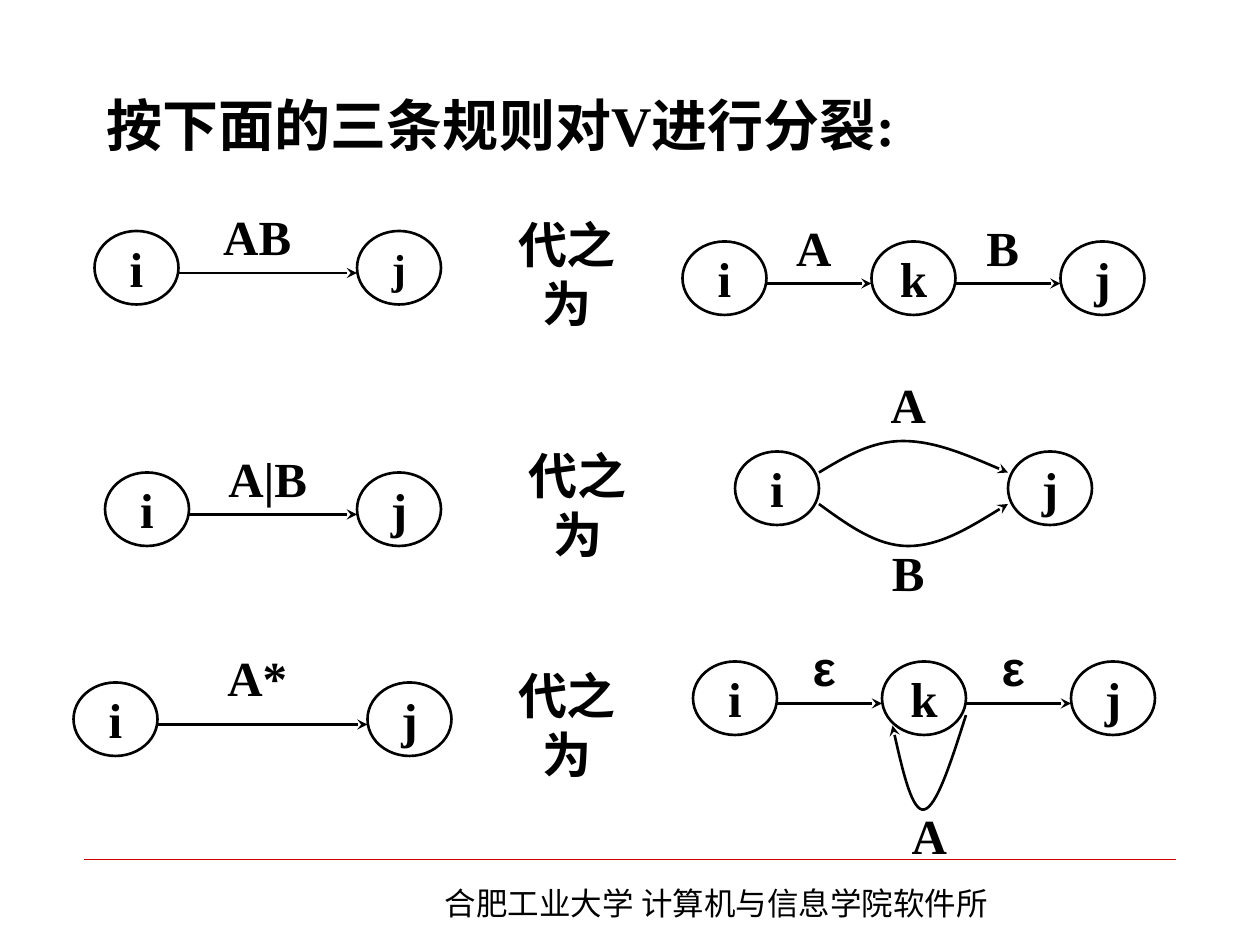
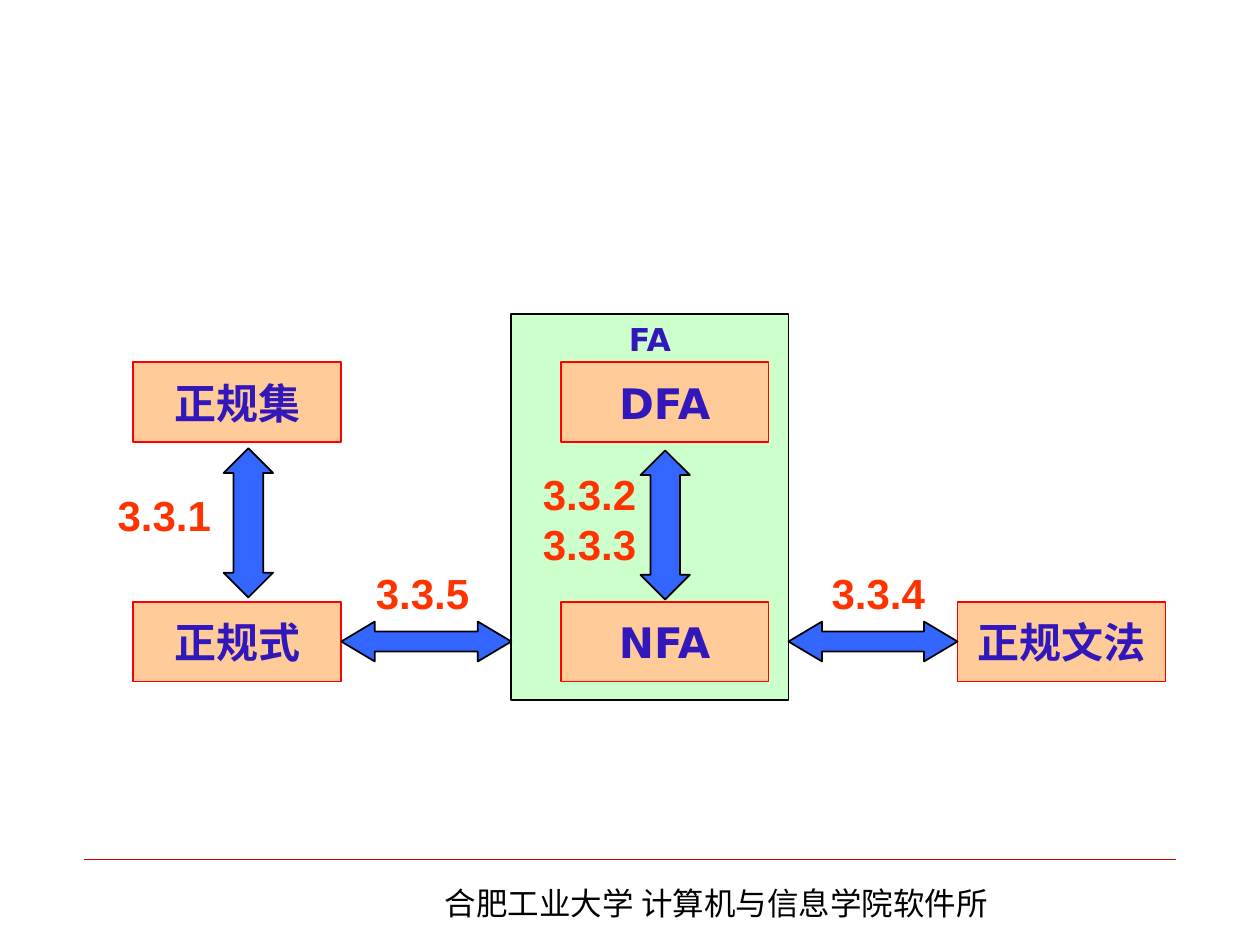
from lxml.etree import SubElement
from pptx import Presentation
from pptx.dml.color import RGBColor
from pptx.enum.shapes import MSO_CONNECTOR, MSO_SHAPE
from pptx.enum.text import MSO_ANCHOR, PP_ALIGN
from pptx.oxml.ns import qn
from pptx.util import Inches, Pt

# The slide is a grid of 120 columns by 90 rows.
WIDTH, HEIGHT = Inches(10), Inches(7.5)
COLUMNS = 120

SERIF, SANS, BOX_FONT, CJK = (
    "Times New Roman", "Arial", "DejaVu Sans", "Noto Sans CJK SC")
BLACK, FOOTER_RED = "000000", "CC0000"
PEACH, BOX_RED, MINT = "FFCC99", "FF0000", "CCFFCC"
ARROW_BLUE, BOX_INK, SECTION_ORANGE = "3366FF", "3217BB", "FF3300"

STATE_W, STATE_H = 8, 7
LABEL_W, LABEL_H = 11, 7
BOX_W, BOX_H = 19.8, 7.6


def cells(*counts):
    return [round(count * WIDTH / COLUMNS) for count in counts]


def color(hex_text):
    return RGBColor.from_string(hex_text)


def write(shape, lines, size, font=SERIF, ink=BLACK, bold=True,
          align=PP_ALIGN.CENTER, anchor=MSO_ANCHOR.MIDDLE, wrap=False):
    frame = shape.text_frame
    frame.word_wrap = wrap
    frame.vertical_anchor = anchor
    for number, line in enumerate(lines):
        paragraph = frame.add_paragraph() if number else frame.paragraphs[0]
        paragraph.alignment = align
        run = paragraph.add_run()
        run.text = line
        run.font.name, run.font.size, run.font.bold = font, Pt(size), bold
        run.font.color.rgb = color(ink)
        SubElement(run.font._element, qn("a:ea"), typeface=CJK)


def add_text(slide, area, lines, size, **style):
    write(slide.shapes.add_textbox(*cells(*area)), lines, size, **style)


def add_figure(slide, kind, area, fill=None, line=BLACK, weight=1):
    figure = slide.shapes.add_shape(kind, *cells(*area))
    figure.shadow.inherit = False
    if fill:
        figure.fill.solid()
        figure.fill.fore_color.rgb = color(fill)
    else:
        figure.fill.background()
    figure.line.color.rgb = color(line)
    figure.line.width = Pt(weight)
    return figure


def add_line(slide, start, end, ink=BLACK, weight=1.5):
    line = slide.shapes.add_connector(
        MSO_CONNECTOR.STRAIGHT, *cells(*start, *end))
    line.line.color.rgb = color(ink)
    line.line.width = Pt(weight)
    SubElement(line._element.spPr, qn("a:effectLst"))
    return line


def point_at_end(line):
    SubElement(line.line._get_or_add_ln(), qn("a:tailEnd"), type="stealth")


def add_curve(slide, start, *controls):
    """Draw cubic Bezier pieces, three control points each, with an arrowhead."""
    builder = slide.shapes.build_freeform(*cells(*start))
    builder.add_line_segments([cells(*point) for point in controls], close=False)
    curve = builder.convert_to_shape()
    curve.shadow.inherit = False
    curve.fill.background()
    curve.line.color.rgb = color(BLACK)
    curve.line.width = Pt(1.5)
    point_at_end(curve)
    outline = next(curve._element.iter(qn("a:path")))
    for number, segment in enumerate(outline.findall(qn("a:lnTo"))):
        if number % 3 == 0:
            bezier = SubElement(outline, qn("a:cubicBezTo"))
        bezier.append(segment[0])
        outline.remove(segment)


def add_footer(slide):
    add_line(slide, (8, 81.8), (112, 81.8), FOOTER_RED, 0.25)
    add_text(slide, (41.2, 83.6, 56.6, 4.8),
             ["合肥工业大学 计算机与信息学院软件所"], 18, font=CJK, bold=False,
             align=PP_ALIGN.LEFT, anchor=MSO_ANCHOR.TOP, wrap=True)


def add_state(slide, left, top, name, size=28):
    state = add_figure(slide, MSO_SHAPE.OVAL, (left, top, STATE_W, STATE_H),
                       weight=1.5)
    write(state, [name], size)


def add_label(slide, left, top, symbol, font=SERIF):
    add_text(slide, (left, top, LABEL_W, LABEL_H), [symbol], 28, font=font)


def add_chain(slide, top, states, symbols, lift=3, font=SERIF, last_size=28):
    """Draw states, given as (name, column), joined by labelled arrows."""
    for name, left in states[:-1]:
        add_state(slide, left, top, name)
    last_name, last_left = states[-1]
    add_state(slide, last_left, top, last_name, last_size)
    for (_, left), (_, end), symbol in zip(states, states[1:], symbols):
        start = left + STATE_W
        point_at_end(add_line(slide, (start, top + 4), (end, top + 4)))
        add_label(slide, (start + end - LABEL_W - 1) // 2, top - lift,
                  symbol, font)


def build_splitting_rules(slide):
    add_footer(slide)
    add_text(slide, (9, 8, 102, 9), ["按下面的三条规则对V进行分裂:"], 32,
             align=PP_ALIGN.JUSTIFY, anchor=MSO_ANCHOR.TOP, wrap=True)
    for left, top in [(47, 22), (48, 44), (47, 65)]:
        add_text(slide, (left, top, 14, 8), ["代之为"], 28)

    # Concatenation
    add_chain(slide, 22, [("i", 9), ("j", 34)], ["AB"], last_size=24)
    add_chain(slide, 23, [("i", 65), ("k", 83), ("j", 101)], ["A", "B"])

    # Alternation
    add_chain(slide, 45, [("i", 10), ("j", 34)], ["A|B"])
    add_state(slide, 70, 43, "i")
    add_state(slide, 96, 43, "j")
    add_curve(slide, (78, 45), (80.5, 43.5), (83, 42), (86, 42),
              (89, 42), (92.5, 43.5), (96, 45))
    add_curve(slide, (78, 48), (80.75, 50), (83.5, 52), (86.5, 52),
              (89.5, 52), (92.75, 50), (96, 48))
    add_label(slide, 81, 35, "A")
    add_label(slide, 81, 51, "B")

    # Closure
    add_chain(slide, 65, [("i", 7), ("j", 35)], ["A*"], lift=4)
    add_chain(slide, 63, [("i", 66), ("k", 84), ("j", 102)], ["ε", "ε"],
              font=SANS)
    add_curve(slide, (92, 68.1), (90.6, 72.5), (89.2, 76.9), (88, 77.1),
              (86.9, 77.3), (85.9, 73.2), (85, 69.1))
    add_label(slide, 83, 76, "A")


def add_concept(slide, left, top, name):
    concept = add_figure(slide, MSO_SHAPE.RECTANGLE, (left, top, BOX_W, BOX_H),
                         PEACH, BOX_RED)
    write(concept, [name], 24, font=BOX_FONT, ink=BOX_INK)


def add_double_arrow(slide, kind, area, head):
    arrow = add_figure(slide, kind, area, ARROW_BLUE)
    arrow.adjustments[0], arrow.adjustments[1] = 0.5, head


def build_concept_map(slide):
    add_footer(slide)
    regular, automata, grammar = 12.7, 53.4, 91.2
    upper, lower = 34.5, 57.3
    group_left, group_w = 48.7, 26.4

    group = add_figure(slide, MSO_SHAPE.RECTANGLE,
                       (group_left, 29.9, group_w, 36.8), MINT)
    write(group, ["FA"], 18, font=BOX_FONT, ink=BOX_INK, anchor=MSO_ANCHOR.TOP)
    for left, top, name in [
            (regular, upper, "正规集"), (regular, lower, "正规式"),
            (automata, upper, "DFA"), (automata, lower, "NFA"),
            (grammar, lower, "正规文法")]:
        add_concept(slide, left, top, name)

    for start, end in [(regular + BOX_W, group_left),
                       (group_left + group_w, grammar)]:
        add_double_arrow(slide, MSO_SHAPE.LEFT_RIGHT_ARROW,
                         (start, lower + BOX_H / 4, end - start, BOX_H / 2), 0.84)
    for left, top in [(21.3, 42.7), (61, 42.9)]:
        add_double_arrow(slide, MSO_SHAPE.UP_DOWN_ARROW,
                         (left, top, 4.7, 14.2), 0.6)

    for left, top, sections in [
            (10, 46, ["3.3.1"]), (50.5, 44, ["3.3.2", "3.3.3"]),
            (78, 53.5, ["3.3.4"]), (34.6, 53.5, ["3.3.5"])]:
        add_text(slide, (left, top, 11.3, 1.2 + 4.8 * len(sections)), sections,
                 24, font=SANS, ink=SECTION_ORANGE, anchor=MSO_ANCHOR.TOP)


def main():
    deck = Presentation()
    deck.slide_width, deck.slide_height = WIDTH, HEIGHT
    blank = deck.slide_layouts[6]
    for build in (build_splitting_rules, build_concept_map):
        build(deck.slides.add_slide(blank))
    deck.save("out.pptx")


if __name__ == "__main__":
    main()
